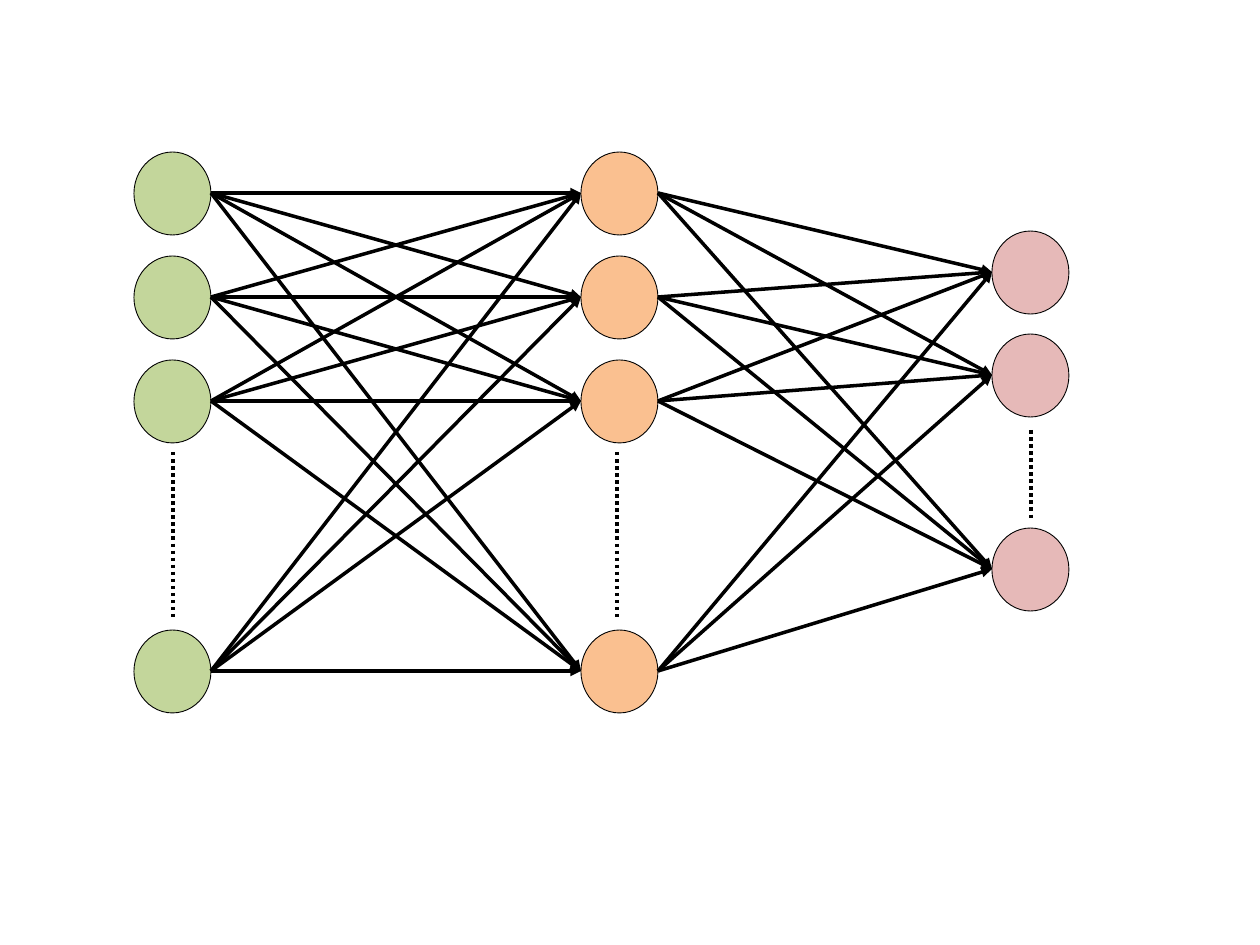
from itertools import pairwise, product

from lxml import etree
from pptx import Presentation
from pptx.dml.color import RGBColor
from pptx.enum.dml import MSO_LINE
from pptx.enum.shapes import MSO_CONNECTOR, MSO_SHAPE
from pptx.oxml.ns import qn
from pptx.util import Inches, Pt

STRAIGHT = MSO_CONNECTOR.STRAIGHT
OVAL = MSO_SHAPE.OVAL
DOTTED = MSO_LINE.ROUND_DOT

BLACK = RGBColor(0x00, 0x00, 0x00)
GREEN = RGBColor(0xC3, 0xD6, 0x9B)
ORANGE = RGBColor(0xFA, 0xC0, 0x90)
PINK = RGBColor(0xE6, 0xB9, 0xB8)

PX = Inches(1) // 126
NODE_W, NODE_H = 77, 83

LAYERS = [
    {"left": 134, "tops": [152, 256, 360, 630], "color": GREEN, "gap": (173, 452, 619)},
    {"left": 581, "tops": [152, 256, 360, 630], "color": ORANGE, "gap": (617, 452, 619)},
    {"left": 992, "tops": [231, 334, 528], "color": PINK, "gap": (1031, 430, 519)},
]


def add_node(slide, left, top, color):
    sp = slide.shapes.add_shape(OVAL, left * PX, top * PX, NODE_W * PX, NODE_H * PX)
    sp.shadow.inherit = False
    sp.fill.solid()
    sp.fill.fore_color.rgb = color
    sp.line.color.rgb = BLACK
    sp.line.width = Pt(0.5)


def add_line(slide, x1, y1, x2, y2):
    cx = slide.shapes.add_connector(STRAIGHT, x1 * PX, y1 * PX, x2 * PX, y2 * PX)
    cx.line.color.rgb = BLACK
    cx.line.width = Pt(2)
    etree.SubElement(cx._element.spPr, qn("a:effectLst"))
    return cx


def add_arrow(slide, x1, y1, x2, y2):
    cx = add_line(slide, x1, y1, x2, y2)
    etree.SubElement(cx.line._get_or_add_ln(), qn("a:tailEnd"), type="triangle")


def main():
    prs = Presentation()
    prs.slide_width, prs.slide_height = Inches(10), Inches(7.5)
    s = prs.slides.add_slide(prs.slide_layouts[6])

    for layer in LAYERS:
        for top in layer["tops"]:
            add_node(s, layer["left"], top, layer["color"])
        x, top, bottom = layer["gap"]
        add_line(s, x, top, x, bottom).line.dash_style = DOTTED

    for source, target in pairwise(LAYERS):
        for y1, y2 in product(source["tops"], target["tops"]):
            add_arrow(s, source["left"] + NODE_W, y1 + NODE_H // 2,
                      target["left"], y2 + NODE_H // 2)

    prs.save("out.pptx")


if __name__ == "__main__":
    main()
